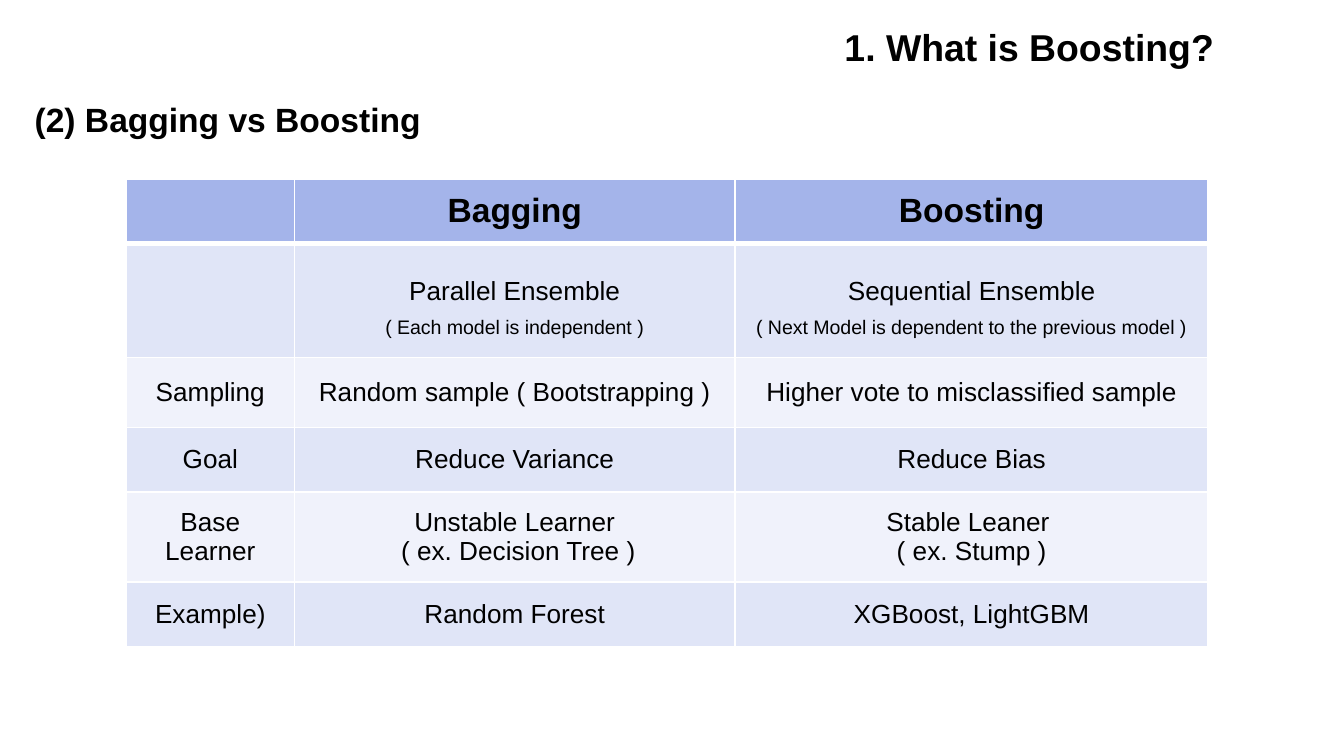
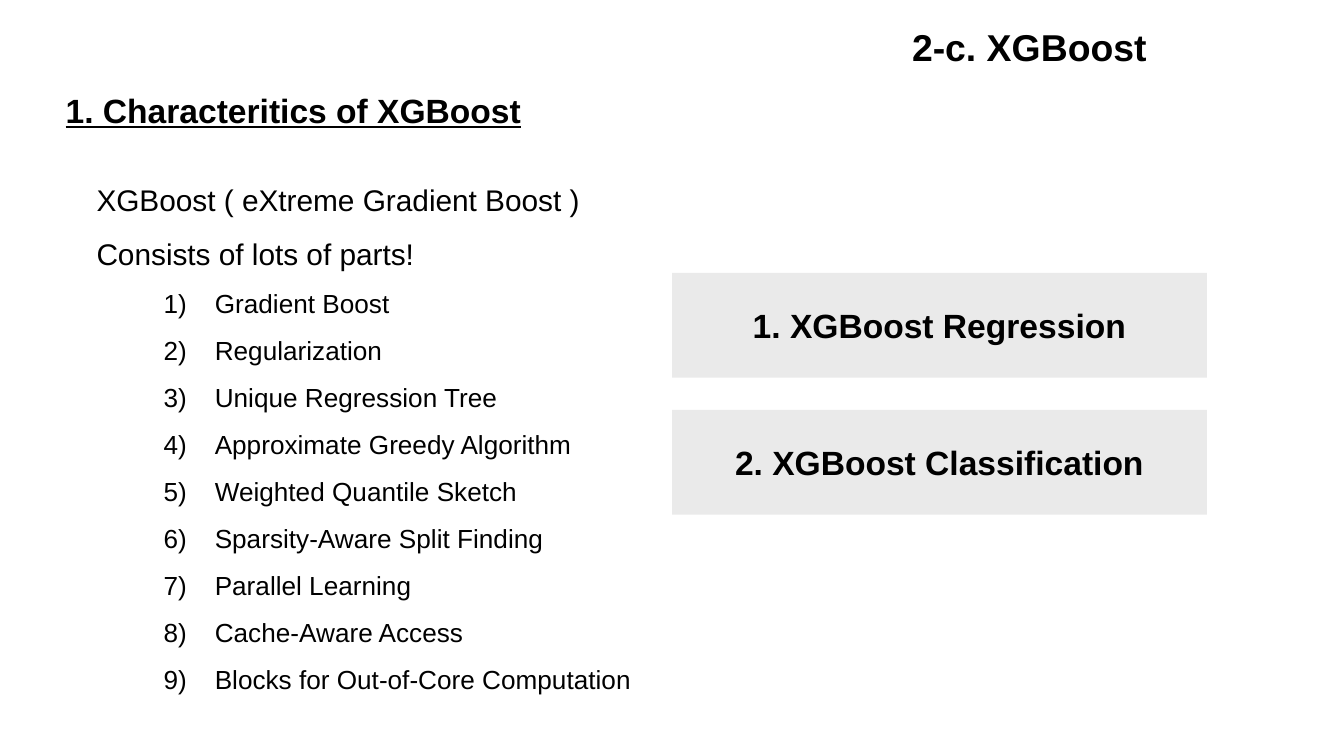
from lxml.etree import SubElement
from pptx import Presentation
from pptx.dml.color import RGBColor
from pptx.enum.shapes import MSO_SHAPE
from pptx.enum.text import MSO_ANCHOR, PP_ALIGN
from pptx.oxml.ns import qn
from pptx.util import Inches, Pt

FONT = "Arial"
COLORS = {"text": "000000", "line": "FFFFFF", "head": "A4B4EA",
          "odd": "E0E5F7", "even": "F0F2FB", "box": "EAEAEA"}
WIDTH = Inches(10)
HEIGHT = WIDTH * 9 // 16
UNIT = WIDTH / 100  # the grid has 100 columns of square cells

COLS = [12.5, 32.8, 35.2]
ROWS = [4.8, 8.5, 5.2, 4.8, 6.7, 4.8]
CELLS = [
    ["", "Bagging", "Boosting"],
    ["", "Parallel Ensemble\v( Each model is independent )",
     "Sequential Ensemble\n( Next Model is dependent to the previous model )"],
    ["Sampling", "Random sample ( Bootstrapping )",
     "Higher vote to misclassified sample"],
    ["Goal", "Reduce Variance", "Reduce Bias"],
    ["Base\nLearner", "Unstable Learner\n ( ex. Decision Tree )",
     "Stable Leaner \n( ex. Stump )"],
    ["Example)", "Random Forest", "XGBoost, LightGBM"],
]
INTRO = ["XGBoost ( eXtreme Gradient Boost )", "Consists of lots of parts!"]
PARTS = ["Gradient Boost", "Regularization", "Unique Regression Tree",
         "Approximate Greedy Algorithm", "Weighted Quantile Sketch",
         "Sparsity-Aware Split Finding", "Parallel Learning",
         "Cache-Aware Access", "Blocks for Out-of-Core Computation"]
MODELS = ["1. XGBoost Regression", "2. XGBoost Classification"]


def grid(*cells):
    return [round(n * UNIT) for n in cells]


def color(name):
    return RGBColor.from_string(COLORS[name])


def paint(fill, name):
    fill.solid()
    fill.fore_color.rgb = color(name)


def style(para, size, bold=False, align=PP_ALIGN.LEFT, space=1.0, under=False):
    para.alignment = align
    para.line_spacing = space
    for run in para.runs:
        font = run.font
        font.name, font.size, font.bold = FONT, Pt(size), bold
        font.color.rgb = color("text")
        if under:
            font.underline = True
    for gap in para._p.findall(qn("a:br")):
        SubElement(gap, qn("a:rPr"), sz=str(size * 100))


def add_text(slide, text, area):
    frame = slide.shapes.add_textbox(*grid(*area)).text_frame
    frame.word_wrap = True
    frame.text = text
    return frame


def add_title(slide, text):
    frame = add_text(slide, text, (56.3, 1.4, 40.6, 4.1))
    frame.vertical_anchor = MSO_ANCHOR.MIDDLE
    style(frame.paragraphs[0], 20, True, PP_ALIGN.CENTER)


def add_heading(slide, text, area, under=False):
    frame = add_text(slide, text, area)
    style(frame.paragraphs[0], 18, True, under=under)


def add_border(cell, base):
    props = cell._tc.get_or_add_tcPr()
    for side, width in zip("LRTB", (1, 1, 1, base)):
        line = SubElement(props, qn(f"a:ln{side}"), w=str(Pt(width)))
        fill = SubElement(line, qn("a:solidFill"))
        SubElement(fill, qn("a:srgbClr"), val=COLORS["line"])


def fill_cell(cell, text, row):
    head, kind = row == 0, row == 1
    add_border(cell, 3 if head else 1)
    paint(cell.fill, "head" if head else "odd" if row % 2 else "even")
    cell.vertical_anchor = MSO_ANCHOR.MIDDLE
    cell.text = text
    paras = cell.text_frame.paragraphs
    for para in paras:
        style(para, 18 if head else 14, head, PP_ALIGN.CENTER,
              1.5 if kind else 1.0)
    if kind:
        runs = [run for para in paras for run in para.runs]
        for note in runs[1:]:
            note.font.size = Pt(10.5)


def add_grid(slide, left, top):
    area = grid(left, top, sum(COLS), sum(ROWS))
    table = slide.shapes.add_table(len(ROWS), len(COLS), *area).table
    for col, width in zip(table.columns, grid(*COLS)):
        col.width = width
    for row, height in zip(table.rows, grid(*ROWS)):
        row.height = height
    for row, texts in enumerate(CELLS):
        for col, text in enumerate(texts):
            fill_cell(table.cell(row, col), text, row)


def add_number(para):
    para.level = 1
    props = para._p.get_or_add_pPr()
    props.set("marL", str(Inches(0.88)))
    props.set("indent", str(Inches(-0.38)))
    SubElement(props, qn("a:buFont"), typeface=FONT)
    SubElement(props, qn("a:buAutoNum"), type="arabicParenR")


def add_list(slide, area):
    frame = add_text(slide, "\n".join(INTRO + PARTS), area)
    for num, para in enumerate(frame.paragraphs):
        part = num >= len(INTRO)
        if part:
            add_number(para)
        style(para, 14 if part else 16, space=1.5)


def add_box(slide, text, area):
    box = slide.shapes.add_shape(MSO_SHAPE.RECTANGLE, *grid(*area))
    box.shadow.inherit = False
    paint(box.fill, "box")
    box.line.fill.background()
    frame = box.text_frame
    frame.vertical_anchor = MSO_ANCHOR.MIDDLE
    frame.text = text
    style(frame.paragraphs[0], 18, True, PP_ALIGN.CENTER)


def add_slide(deck, title):
    slide = deck.slides.add_slide(deck.slide_layouts[6])
    add_title(slide, title)
    return slide


def main():
    deck = Presentation()
    deck.slide_width, deck.slide_height = WIDTH, HEIGHT

    slide = add_slide(deck, "1. What is Boosting?")
    add_heading(slide, "(2) Bagging vs Boosting", (1.6, 6.9, 32, 4))
    add_grid(slide, 9.4, 13.3)

    slide = add_slide(deck, "2-c. XGBoost")
    add_heading(slide, "1. Characteritics of XGBoost", (3.9, 6.2, 40.6, 4), True)
    add_list(slide, (6.2, 11.7, 47.7, 40.9))
    for num, model in enumerate(MODELS):
        add_box(slide, model, (50, 20.3 + 10.2 * num, 39.8, 7.8))

    deck.save("out.pptx")


if __name__ == "__main__":
    main()
